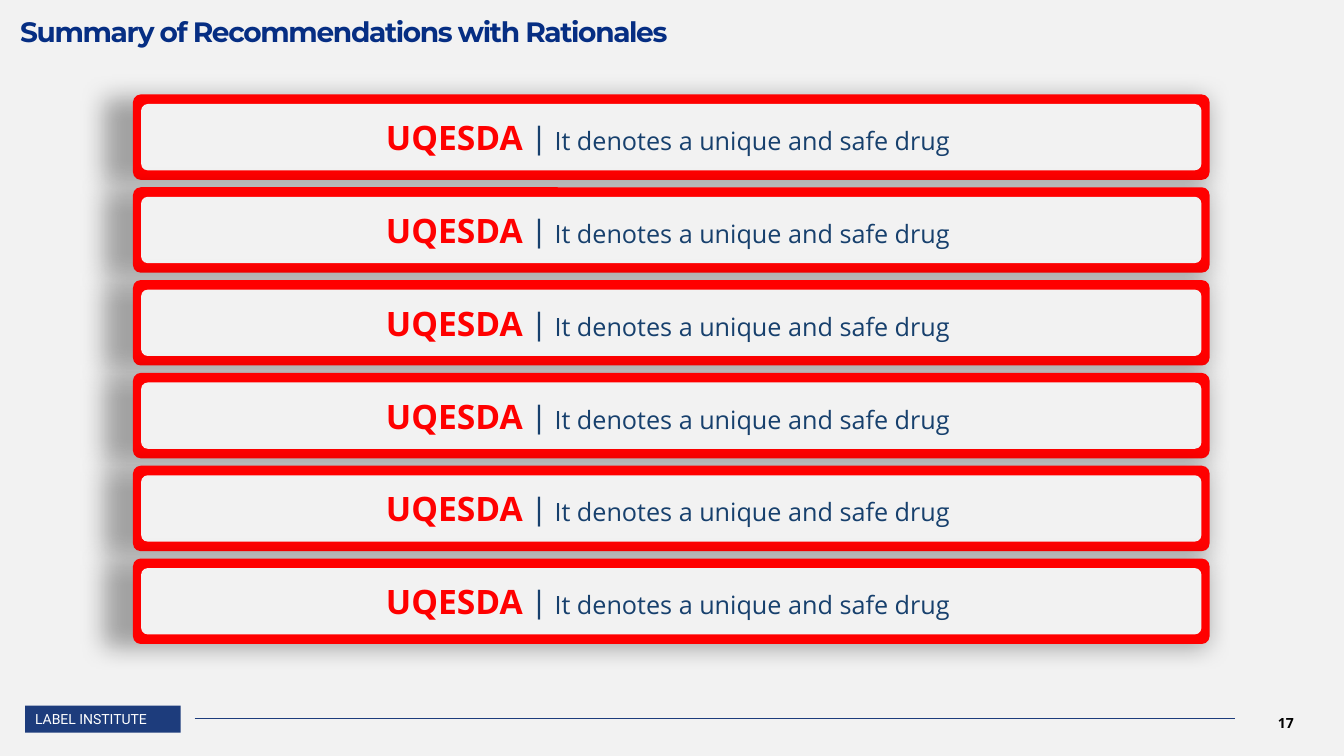
from lxml import etree
from pptx import Presentation
from pptx.dml.color import RGBColor
from pptx.enum import shapes, text
from pptx.oxml import ns
from pptx.util import Pt

TITLE = "Summary of Recommendations with Rationales"
FOOTER = "LABEL INSTITUTE"
PAGE = "17"
RECOMMENDATIONS = [("UQESDA", "It denotes a unique and safe drug")] * 6

COLORS = {"back": "F2F2F2", "title": "062E83", "footer": "1D3C7C", "bar": "FF0000",
          "text": "17406D", "white": "FFFFFF", "black": "000000"}
BAR_LEFT, BAR_TOP, BAR_W, BAR_H, BAR_STEP = 95, 67.5, 769, 61, 66.3
RIM_X, RIM_Y = 5.8, 6.8


def rgb(name):
    return RGBColor.from_string(COLORS[name])


def add_run(p, words, size, font, color, bold=False):
    r = p.add_run()
    r.text = words
    r.font.size, r.font.name, r.font.bold = Pt(size), font, bold
    r.font.color.rgb = rgb(color)
    return r


def add_box(parent, kind, left, top, width, height, fill, radius=None):
    sp = parent.shapes.add_shape(kind, Pt(left), Pt(top), Pt(width), Pt(height))
    sp.shadow.inherit = False
    sp.fill.solid()
    sp.fill.fore_color.rgb = rgb(fill)
    sp.line.fill.background()
    if radius is not None:
        sp.adjustments[0] = radius
    return sp


def add_label(left, top, width, height):
    tf = s.shapes.add_textbox(Pt(left), Pt(top), Pt(width), Pt(height)).text_frame
    tf.word_wrap = True
    return tf


def add_shadow(sp):
    effects = sp._element.spPr.find(ns.qn("a:effectLst"))
    shadow = etree.SubElement(effects, ns.qn("a:outerShdw"), blurRad=str(Pt(17.2)),
                              dist=str(Pt(3)), dir="8100000", sx="102500",
                              algn="tr", rotWithShape="0")
    color = etree.SubElement(shadow, ns.qn("a:srgbClr"), val=COLORS["black"])
    etree.SubElement(color, ns.qn("a:alpha"), val="33000")


prs = Presentation()
prs.slide_width, prs.slide_height = Pt(960), Pt(540)
s = prs.slides.add_slide(prs.slide_layouts[6])
s.background.fill.solid()
s.background.fill.fore_color.rgb = rgb("back")

tf = add_label(879, 502, 79, 29)
tf.vertical_anchor = text.MSO_ANCHOR.MIDDLE
p = tf.paragraphs[0]
p.alignment = text.PP_ALIGN.CENTER
add_run(p, PAGE, 10, "Open Sans", "black", True)

tag = add_box(s, shapes.MSO_SHAPE.RECTANGLE, 18, 504, 111, 19.4, "footer")
tf = tag.text_frame
tf.word_wrap = False
tf.vertical_anchor = text.MSO_ANCHOR.TOP
p = tf.paragraphs[0]
p.alignment = text.PP_ALIGN.LEFT
add_run(p, FOOTER, 10, "Roboto", "white")

rule = s.shapes.add_connector(shapes.MSO_CONNECTOR.STRAIGHT, Pt(139), Pt(513), Pt(882.5), Pt(513))
rule.line.color.rgb = rgb("footer")
rule.line.width = Pt(0.5)
etree.SubElement(rule._element.spPr, ns.qn("a:effectLst"))

tf = add_label(14.4, 0, 923, 34.6)
tf.margin_left = tf.margin_right = tf.margin_bottom = 0
tf.margin_top = Pt(15)
p = tf.paragraphs[0]
p.line_spacing = 0.8
r = add_run(p, TITLE, 20, "Montserrat", "title", True)
r.font._element.set("spc", "-100")

for i, (name, rationale) in enumerate(RECOMMENDATIONS):
    top = BAR_TOP + i * BAR_STEP
    group = s.shapes.add_group_shape()
    bar = add_box(group, shapes.MSO_SHAPE.ROUNDED_RECTANGLE,
                  BAR_LEFT, top, BAR_W, BAR_H, "bar", 0.091)
    add_shadow(bar)
    panel = add_box(group, shapes.MSO_SHAPE.ROUNDED_RECTANGLE, BAR_LEFT + RIM_X, top + RIM_Y,
                    BAR_W - 2 * RIM_X, BAR_H - 2 * RIM_Y, "back", 0.1)
    tf = panel.text_frame
    tf.word_wrap = True
    tf.vertical_anchor = text.MSO_ANCHOR.MIDDLE
    p = tf.paragraphs[0]
    p.alignment = text.PP_ALIGN.CENTER
    add_run(p, name + " ", 24, "Open Sans", "bar", True)
    add_run(p, "| ", 24, "Calibri", "text")
    add_run(p, rationale + " ", 18, "Open Sans", "text")

prs.save("out.pptx")
